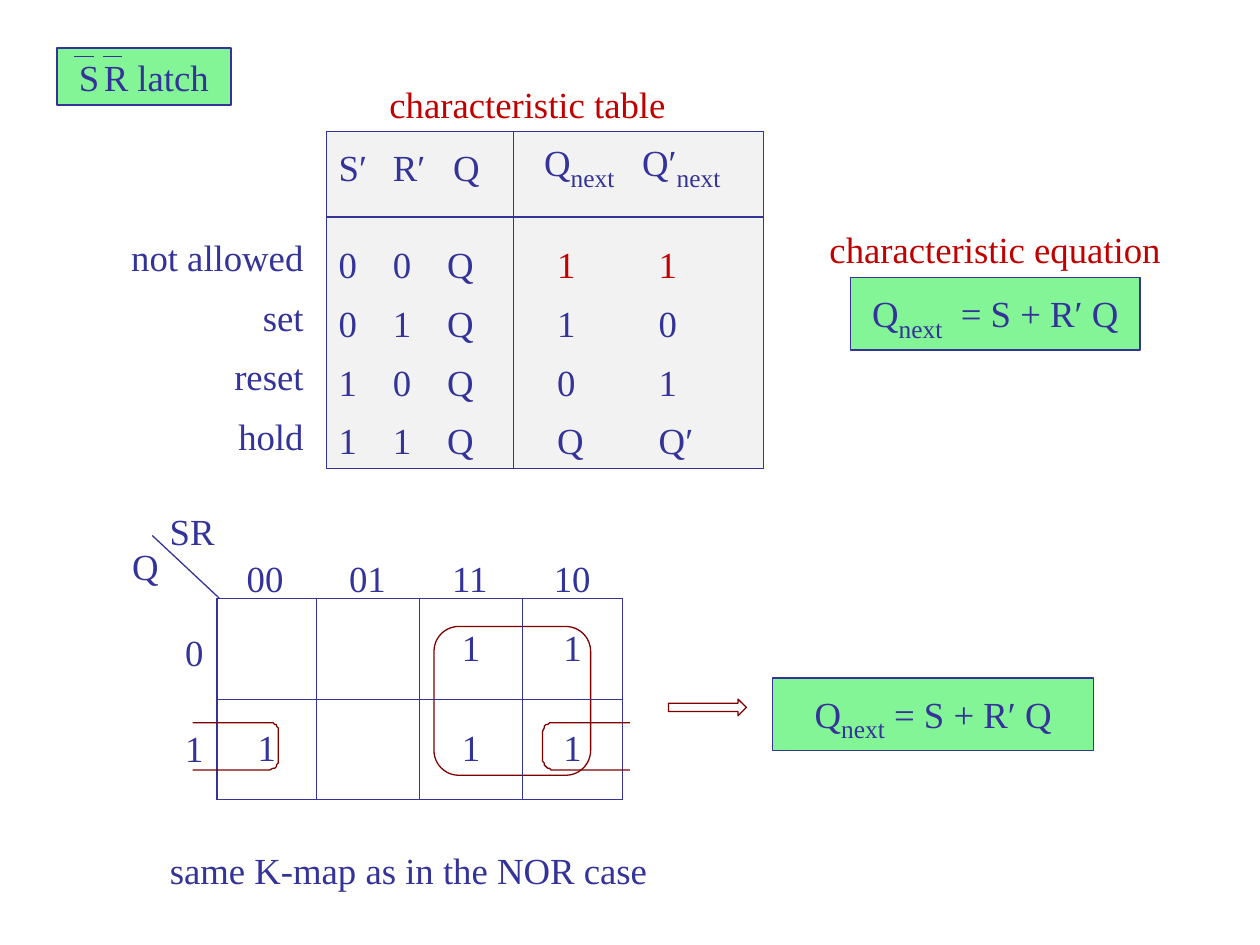
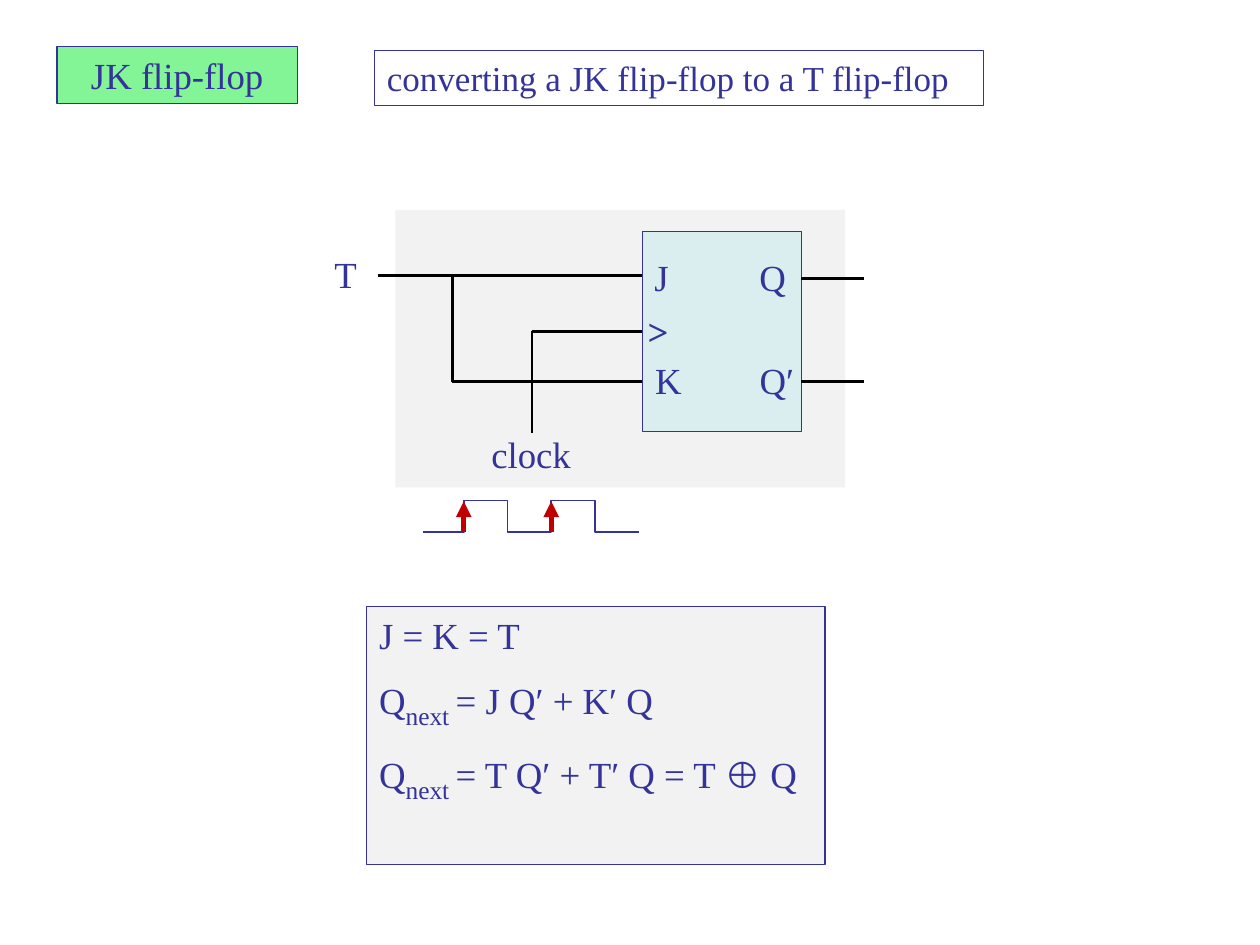
from math import cos, pi, sin

from pptx import Presentation
from pptx.dml.color import RGBColor
from pptx.enum.shapes import MSO_CONNECTOR, MSO_SHAPE
from pptx.enum.text import MSO_ANCHOR, MSO_AUTO_SIZE, PP_ALIGN
from pptx.oxml.ns import qn
from pptx.util import Pt
from lxml.etree import SubElement

NAVY = RGBColor(0x33, 0x33, 0x99)
RED = RGBColor(0xC0, 0x00, 0x00)
MAROON = RGBColor(0x80, 0x00, 0x00)
GREEN = RGBColor(0x83, 0xF5, 0x96)
GREY = RGBColor(0xF2, 0xF2, 0xF2)
PALE_BLUE = RGBColor(0xDA, 0xED, 0xEF)
WHITE = RGBColor(0xFF, 0xFF, 0xFF)
BLACK = RGBColor(0x00, 0x00, 0x00)
LEFT, CENTER, RIGHT = PP_ALIGN.LEFT, PP_ALIGN.CENTER, PP_ALIGN.RIGHT
RECTANGLE = MSO_SHAPE.RECTANGLE


def write(frame, text, align=LEFT, color=NAVY, size=21, gap=0, bold=False):
    for index, line in enumerate(text.split("\n")):
        paragraph = frame.paragraphs[0] if index == 0 else frame.add_paragraph()
        paragraph.alignment = align
        paragraph.space_before = Pt(gap if index else 0)
        paragraph.font.name = "Times New Roman"
        paragraph.font.size = Pt(size)
        paragraph.font.bold = bold
        paragraph.font.color.rgb = color
        for position, part in enumerate(line.split("_")):
            if not part:
                continue
            run = paragraph.add_run()
            run.text = part
            if position % 2 == 0:
                continue
            if part == "⊕":
                run.font.name = "Arial"
            elif part == " ":
                run.font.size = Pt(10)
            else:
                run.font.size = Pt(25)
                run.font._element.set("baseline", "-25000")


def draw_line(slide, x1, y1, x2, y2, color=NAVY, width=0.75):
    connector = slide.shapes.add_connector(
        MSO_CONNECTOR.STRAIGHT, Pt(x1), Pt(y1), Pt(x2), Pt(y2))
    connector.line.color.rgb = color
    connector.line.width = Pt(width)
    SubElement(connector._element.spPr, qn("a:effectLst"))
    return connector


presentation = Presentation()
presentation.slide_width, presentation.slide_height = Pt(720), Pt(540)
layout = presentation.slide_layouts[5]
latch = presentation.slides.add_slide(layout)
flip_flop = presentation.slides.add_slide(layout)

for slide, text, top, width in (
    (latch, "S_ _R latch", 27.5, 99.5),
    (flip_flop, "JK flip-flop", 26.5, 137.5),
):
    title = slide.shapes.title
    title.left, title.top, title.width, title.height = Pt(32.5), Pt(top), Pt(width), Pt(32.5)
    title.fill.solid()
    title.fill.fore_color.rgb = GREEN
    title.line.color.rgb = NAVY
    title.line.width = Pt(0.75)
    frame = title.text_frame
    frame.auto_size = MSO_AUTO_SIZE.NONE
    frame.vertical_anchor = MSO_ANCHOR.TOP
    write(frame, text, CENTER)

equations = "J = K = T\nQ_next _= J Qʹ + Kʹ Q\nQ_next _= T Qʹ + Tʹ Q = T _⊕_ Q"
boxes = (
    (latch, RECTANGLE, 441.5, 387.5, 183.5, 41.5, GREEN, NAVY, "Q_next_ = S + Rʹ Q", CENTER, 21),
    (latch, RECTANGLE, 486, 158.5, 165.5, 41.5, GREEN, NAVY, "Q_next_  = S + Rʹ Q", CENTER, 21),
    (latch, MSO_SHAPE.ROUNDED_RECTANGLE, 248, 358, 89.5, 85, None, MAROON, "", LEFT, 21),
    (latch, MSO_SHAPE.RIGHT_ARROW, 382, 399.5, 44.5, 9.5, None, MAROON, "", LEFT, 21),
    (flip_flop, RECTANGLE, 226, 120, 257, 158.5, GREY, None, "", LEFT, 21),
    (flip_flop, RECTANGLE, 209.5, 346.5, 262, 147.5, GREY, NAVY, equations, LEFT, 21),
    (flip_flop, RECTANGLE, 214, 29, 348, 31.5, WHITE, NAVY,
     "converting a JK flip-flop to a T flip-flop", LEFT, 20),
    (flip_flop, RECTANGLE, 367, 132.5, 91, 114, PALE_BLUE, NAVY, "", LEFT, 21),
)
for slide, kind, left, top, width, height, fill, outline, text, align, size in boxes:
    box = slide.shapes.add_shape(kind, Pt(left), Pt(top), Pt(width), Pt(height))
    box.shadow.inherit = False
    if fill is None:
        box.fill.background()
    else:
        box.fill.solid()
        box.fill.fore_color.rgb = fill
    if outline is None:
        box.line.fill.background()
    else:
        box.line.color.rgb = outline
        box.line.width = Pt(0.75)
    if text:
        box.text_frame.word_wrap = True
        box.text_frame.vertical_anchor = MSO_ANCHOR.TOP
        write(box.text_frame, text, align, size=size, gap=8)
jk_block = box

truth_rows = (
    ("Sʹ", "Rʹ", "Q", "Q_next_", "Qʹ_next_"),
    ("0", "0", "Q", "1", "1"),
    ("0", "1", "Q", "1", "0"),
    ("1", "0", "Q", "0", "1"),
    ("1", "1", "Q", "Q", "Qʹ"),
)
kmap_rows = (("", "", "1", "1"), ("1", "", "1", "1"))
tables = (
    (truth_rows, 186.5, 75, (31, 31, 45, 66, 77), (49, 43.5, 33.5, 33.5, 33.5),
     (0, 1, 5), (0, 3, 5), GREY),
    (kmap_rows, 124, 342, (57, 59, 58.5, 57.5), (57.5, 57.5), range(3), range(5), None),
)
header_margins = (7, 7, 10.5, 17.5, 7.5)
value_margins = (7, 7, 7, 25, 17)
for rows, left, top, widths, heights, ruled_rows, ruled_columns, fill in tables:
    table = latch.shapes.add_table(
        len(rows), len(widths), Pt(left), Pt(top), Pt(sum(widths)), Pt(sum(heights))).table
    table.first_row = table.horz_banding = False
    for column, width in zip(table.columns, widths):
        column.width = Pt(width)
    for r, (values, height) in enumerate(zip(rows, heights)):
        table.rows[r].height = Pt(height)
        for c, value in enumerate(values):
            cell = table.cell(r, c)
            properties = cell._tc.get_or_add_tcPr()
            for side, ruled in (
                ("L", c in ruled_columns), ("R", c + 1 in ruled_columns),
                ("T", r in ruled_rows), ("B", r + 1 in ruled_rows),
            ):
                border = SubElement(properties, qn("a:ln" + side), w=str(Pt(0.75)))
                if ruled:
                    color = SubElement(border, qn("a:solidFill"))
                    SubElement(color, qn("a:srgbClr"), val=str(NAVY))
                else:
                    SubElement(border, qn("a:noFill"))
            if fill is None:
                cell.fill.background()
                cell.vertical_anchor = MSO_ANCHOR.MIDDLE
                write(cell.text_frame, value, CENTER)
                continue
            cell.fill.solid()
            cell.fill.fore_color.rgb = fill
            cell.margin_right = Pt(0)
            cell.margin_left = Pt(value_margins[c] if r else header_margins[c])
            cell.margin_top = Pt(3.5 if r or "next" in value else 10)
            cell.margin_bottom = Pt(3.5 if r else 0)
            cell.vertical_anchor = MSO_ANCHOR.BOTTOM if r else MSO_ANCHOR.TOP
            write(cell.text_frame, value, color=RED if r == 1 and c > 2 else NAVY)

radius, loop_top, loop_bottom = 4.5, 413, 439.5
for open_x, closed_x in ((110, 159), (360, 310.5)):
    direction = 1 if closed_x > open_x else -1
    center_x = closed_x - direction * radius
    points = []
    for center_y, start in ((loop_top + radius, -pi / 2), (loop_bottom - radius, 0)):
        for step in range(7):
            angle = start + step * pi / 12
            points.append((center_x + direction * radius * cos(angle),
                           center_y + radius * sin(angle)))
    builder = latch.shapes.build_freeform(open_x, loop_top, scale=Pt(1))
    builder.add_line_segments(points + [(open_x, loop_bottom)], close=False)
    loop = builder.convert_to_shape()
    loop.shadow.inherit = False
    loop.fill.background()
    loop.line.color.rgb = MAROON
    loop.line.width = Pt(0.75)

draw_line(latch, 125.5, 342, 87, 306)
for overline_left in (42.5, 59):
    draw_line(latch, overline_left, 32.5, overline_left + 11, 32.5)

for x1, y1, x2, y2 in (
    (216, 157.5, 367, 157.5),
    (258.5, 157.5, 258.5, 218.5),
    (258.5, 218, 367, 218),
    (304, 189, 304, 247.5),
    (458, 159, 494, 159),
    (458, 218, 494, 218),
):
    draw_line(flip_flop, x1, y1, x2, y2, BLACK, 1.5)
clock_wire = draw_line(flip_flop, 304, 189.5, 367, 189.5, BLACK, 1.5)
clock_wire.end_connect(jk_block, 1)

clock_low, clock_high, half_period = 304, 286.5, 25
edges = [265 + half_period * i for i in range(4)]
level = clock_low
wave = []
for edge in edges:
    wave.append((edge, level))
    level = clock_high if level == clock_low else clock_low
    wave.append((edge, level))
builder = flip_flop.shapes.build_freeform(edges[0] - 23, clock_low, scale=Pt(1))
builder.add_line_segments(wave + [(edges[-1] + half_period, clock_low)], close=False)
clock_wave = builder.convert_to_shape()
clock_wave.shadow.inherit = False
clock_wave.fill.background()
clock_wave.line.color.rgb = NAVY
clock_wave.line.width = Pt(1)
for edge in edges[::2]:
    rising_edge = draw_line(flip_flop, edge, clock_low, edge, clock_high, RED, 3)
    SubElement(rising_edge.line._get_or_add_ln(), qn("a:tailEnd"), type="triangle")

labels = [
    (latch, "characteristic table", 211, 47, 181, 25, CENTER, RED),
    (latch, "characteristic equation", 456.5, 129.5, 224.5, 25, CENTER, RED),
    (latch, "not allowed\nset\nreset\nhold", 65, 134, 108.5, 126, RIGHT, NAVY),
    (latch, "SR", 97, 291, 30, 25, LEFT, NAVY),
    (latch, "Q", 75.5, 311, 20, 25, LEFT, NAVY),
    (latch, "0", 101, 360, 20, 25, CENTER, NAVY),
    (latch, "1", 101, 414.5, 20, 25, CENTER, NAVY),
    (latch, "same K-map as in the NOR case", 97, 484.5, 290, 25, LEFT, NAVY),
    (flip_flop, "T", 187.5, 144, 20, 25, CENTER, NAVY),
    (flip_flop, "J", 368, 145.5, 20, 25, CENTER, NAVY),
    (flip_flop, ">", 370, 176.5, 27, 25, LEFT, NAVY),
    (flip_flop, "K", 372, 204.5, 20, 25, CENTER, NAVY),
    (flip_flop, "Q", 426.5, 145.5, 30, 25, CENTER, NAVY),
    (flip_flop, "Qʹ", 429, 204.5, 30, 25, CENTER, NAVY),
    (flip_flop, "clock", 273.5, 247, 60, 25, CENTER, NAVY),
]
for index, heading in enumerate(("00", "01", "11", "10")):
    labels.append((latch, heading, 131.5 + 58.5 * index, 317.5, 40, 25, CENTER, NAVY))
for slide, text, left, top, width, height, align, color in labels:
    label = slide.shapes.add_textbox(Pt(left), Pt(top), Pt(width), Pt(height))
    frame = label.text_frame
    frame.word_wrap = True
    frame.margin_left = frame.margin_right = frame.margin_top = frame.margin_bottom = Pt(0)
    write(frame, text, align, color, gap=9, bold=text == ">")

presentation.save("out.pptx")
